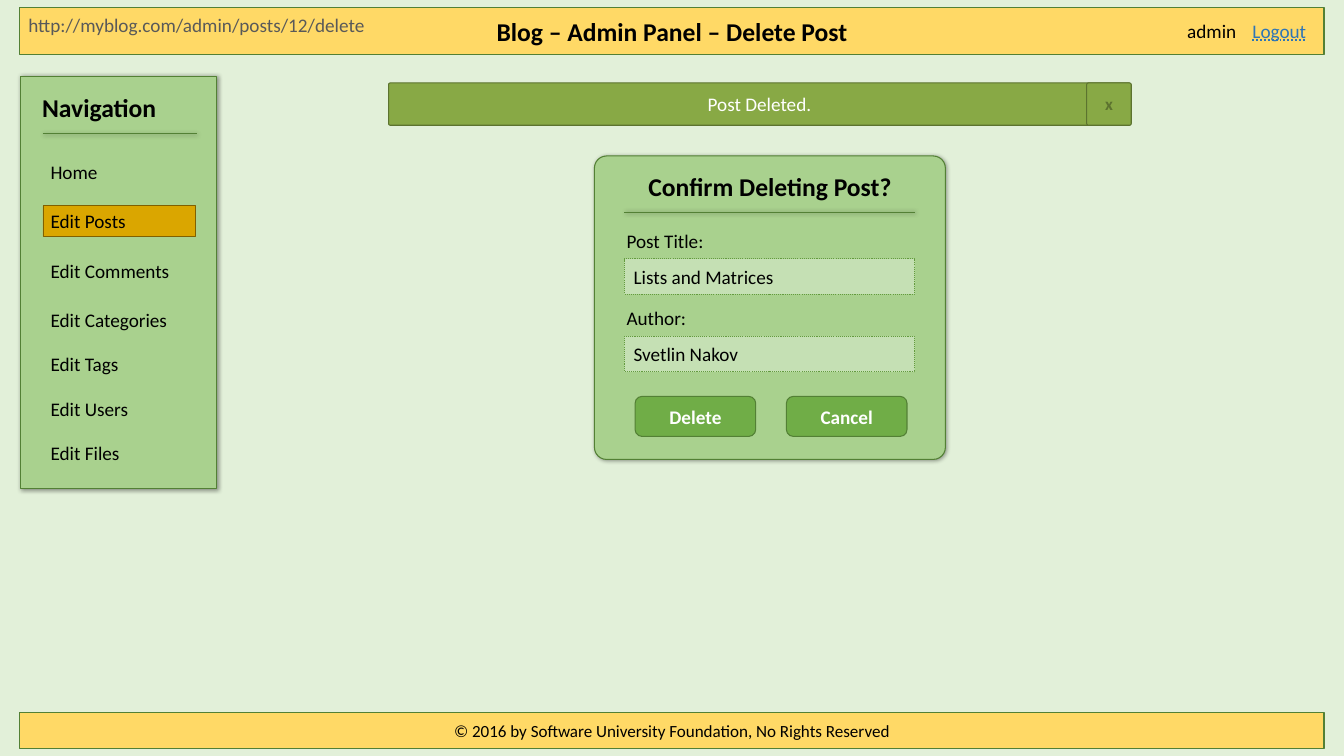
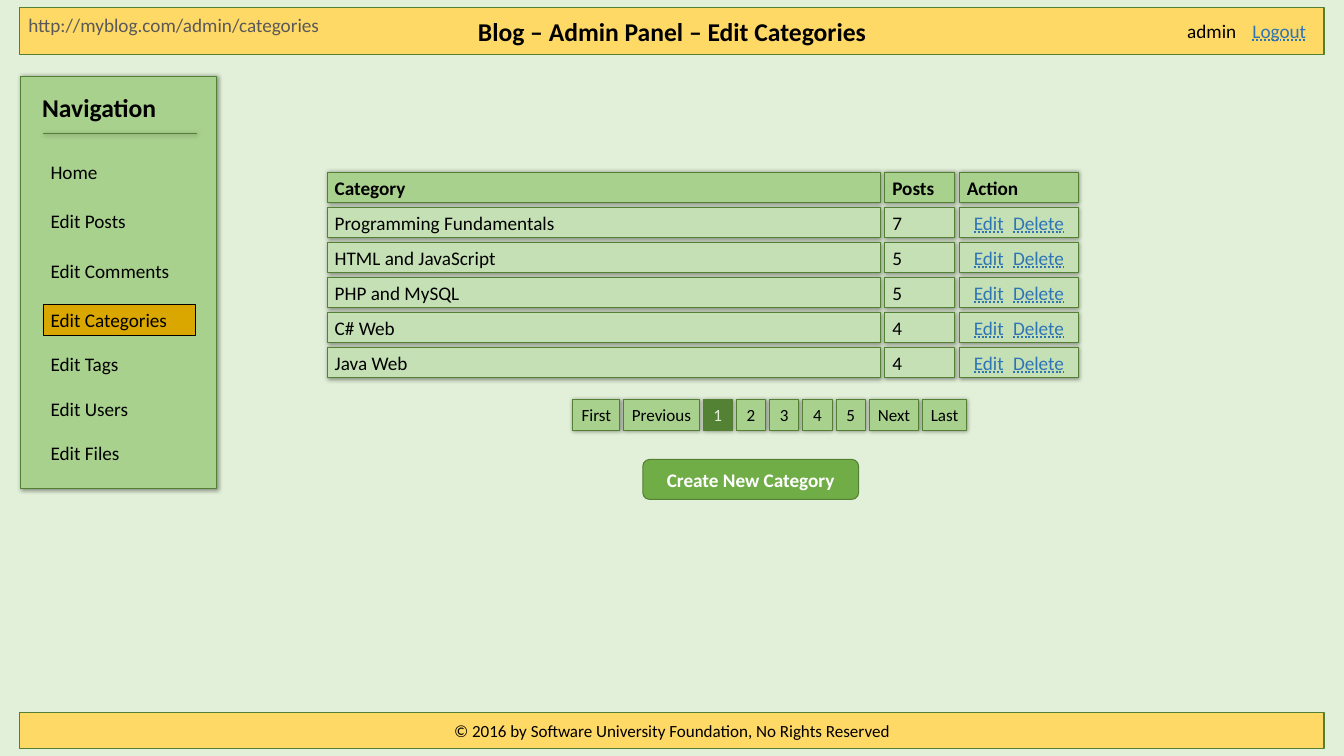
"""Build two admin panel mock-up slides of a blog: delete post and edit categories."""
from dataclasses import dataclass

from lxml import etree
from pptx import Presentation
from pptx.dml.color import RGBColor
from pptx.enum.dml import MSO_LINE
from pptx.enum.shapes import MSO_CONNECTOR, MSO_SHAPE
from pptx.enum.text import MSO_ANCHOR, MSO_AUTO_SIZE, MSO_UNDERLINE, PP_ALIGN
from pptx.oxml import parse_xml
from pptx.oxml.ns import nsdecls, qn
from pptx.util import Inches, Pt

RECT, ROUND = MSO_SHAPE.RECTANGLE, MSO_SHAPE.ROUNDED_RECTANGLE
LEFT, CENTER = PP_ALIGN.LEFT, PP_ALIGN.CENTER
MIDDLE, FIXED = MSO_ANCHOR.MIDDLE, MSO_AUTO_SIZE.NONE
DOTS, DOTTED = MSO_LINE.ROUND_DOT, MSO_UNDERLINE.DOTTED_LINE
STRAIGHT = MSO_CONNECTOR.STRAIGHT

BLACK = RGBColor(0x00, 0x00, 0x00)
WHITE = RGBColor(0xFF, 0xFF, 0xFF)
GRAY = RGBColor(0x59, 0x59, 0x59)
BLUE = RGBColor(0x2E, 0x75, 0xB6)
MIST = RGBColor(0xE2, 0xF0, 0xD9)
PALE = RGBColor(0xC5, 0xE0, 0xB4)
LEAF = RGBColor(0xA9, 0xD1, 0x8E)
GREEN = RGBColor(0x70, 0xAD, 0x47)
MOSS = RGBColor(0x64, 0x9B, 0x3F)
FERN = RGBColor(0x54, 0x82, 0x35)
EDGE = RGBColor(0x53, 0x80, 0x35)
OLIVE = RGBColor(0x88, 0xA9, 0x45)
DARK = RGBColor(0x5C, 0x73, 0x2F)
YELLOW = RGBColor(0xFF, 0xD9, 0x66)
GOLD = RGBColor(0xDA, 0xA6, 0x00)
BROWN = RGBColor(0x80, 0x60, 0x00)

FONT = "Calibri"
CELL = Inches(0.1)
COLS, ROWS = 175, 98.4
MENU = ("Home", "Edit Posts", "Edit Comments", "Edit Categories",
        "Edit Tags", "Edit Users", "Edit Files")
FOOT = "© 2016 by Software University Foundation, No Rights Reserved"


@dataclass(frozen=True)
class Box:
    """A place on the grid of the slide."""
    col: float
    row: float
    wide: float
    high: float

    def lengths(self) -> tuple:
        return tuple(round(n * CELL) for n in (self.col, self.row, self.wide, self.high))


@dataclass(frozen=True)
class Page:
    """What changes in the shared frame."""
    title: str
    link: str
    item: str
    edge: RGBColor


@dataclass(frozen=True)
class Field:
    """A labelled field of the dialog."""
    label: str
    value: str
    row: float


@dataclass(frozen=True)
class Column:
    """A column of the category list."""
    head: str
    col: float
    wide: float
    cells: tuple


def write(shape, text: str, size: float = 18, color: RGBColor = BLACK,
          bold: bool = False, align=LEFT, wrap: bool = True, under: bool = False,
          inset: float = 1, tab: float = 0, trim: bool = False) -> None:
    """Put formatted text into a shape."""
    frame = shape.text_frame
    frame.auto_size, frame.word_wrap = FIXED, wrap
    frame.vertical_anchor = MIDDLE
    frame.margin_left = round(inset * CELL)
    para = frame.paragraphs[0]
    if tab:
        stops = etree.SubElement(para._p.get_or_add_pPr(), qn("a:tabLst"))
        etree.SubElement(stops, qn("a:tab"), pos=str(round(tab * CELL)), algn="l")
    para.alignment = align
    for part in filter(None, text.partition("\t")):
        run = para.add_run()
        run.text = part
        font = run.font
        font.name, font.size, font.bold = FONT, Pt(size), bold
        font.color.rgb = color
        if under and part != "\t":
            font.underline = DOTTED
        if trim:
            run._r.get_or_add_rPr().insert(0, parse_xml(
                f'<a:ln {nsdecls("a")} w="9525"><a:solidFill>'
                f'<a:srgbClr val="{color}"/></a:solidFill></a:ln>'))


def shade(shape, on: bool) -> None:
    """Set a soft shadow or none."""
    drop = ('<a:outerShdw blurRad="50800" dist="12700" dir="2700000">'
            '<a:srgbClr val="000000"><a:alpha val="40000"/></a:srgbClr>'
            '</a:outerShdw>') if on else ""
    shape._element.spPr.append(
        parse_xml(f'<a:effectLst {nsdecls("a")}>{drop}</a:effectLst>'))


def paint(shape, fill: RGBColor, edge: RGBColor, width: float = 1) -> None:
    """Set fill and outline."""
    shape.fill.solid()
    shape.fill.fore_color.rgb = fill
    shape.line.color.rgb = edge
    shape.line.width = Pt(width)


def panel(slide, box: Box, fill: RGBColor, text: str = "", edge: RGBColor = EDGE,
          width: float = 1, curve: float = 0, dash: bool = False,
          shadow: bool = False, **style) -> None:
    """Draw a filled box, rounded if it has a curve."""
    shape = slide.shapes.add_shape(ROUND if curve else RECT, *box.lengths())
    if curve:
        shape.adjustments[0] = curve
    paint(shape, fill, edge, width)
    if dash:
        shape.line.dash_style = DOTS
    shade(shape, shadow)
    if text:
        write(shape, text, **style)


def label(slide, box: Box, text: str, **style) -> None:
    """Draw plain text."""
    write(slide.shapes.add_textbox(*box.lengths()), text, **style)


def rule(slide, col: float, row: float, wide: float) -> None:
    """Draw a level line with a shadow."""
    left, top, span, _ = Box(col, row, wide, 0).lengths()
    line = slide.shapes.add_connector(STRAIGHT, left, top, left + span, top)
    line.line.color.rgb = EDGE
    line.line.width = Pt(1)
    shade(line, True)


def button(slide, box: Box, text: str) -> None:
    """Draw a green button."""
    panel(slide, box, GREEN, text, curve=0.17, color=WHITE, bold=True, align=CENTER)


def start(deck, page: Page):
    """Add a slide with header, menu and footer."""
    slide = deck.slides.add_slide(deck.slide_layouts[5])
    title = slide.shapes.title
    title.left, title.top, title.width, title.height = Box(2.6, 1, 169.8, 6.1).lengths()
    paint(title, YELLOW, EDGE)
    write(title, page.title, size=24, bold=True, align=CENTER)
    label(slide, Box(2.7, 1.2, 46.4, 4), page.link, color=GRAY, wrap=False)
    label(slide, Box(153.6, 2, 8.5, 4), "admin", wrap=False)
    label(slide, Box(162.1, 2, 9.1, 4), "Logout", color=BLUE, under=True, wrap=False)
    panel(slide, Box(2.6, 92.8, 169.8, 4.6), YELLOW, FOOT, size=16, align=CENTER)

    panel(slide, Box(2.7, 9.9, 25.5, 53.7), LEAF, shadow=True)
    label(slide, Box(4.5, 11.5, 22, 5), "Navigation", size=24, bold=True)
    rule(slide, 5.6, 17.4, 20)
    for i, item in enumerate(MENU):
        box = Box(5.6, 20.4 + 6.4 * min(i, 3) + 5.8 * max(i - 3, 0), 19.8, 4)
        if item == page.item:
            panel(slide, box, GOLD, item, edge=page.edge, width=0.75)
        else:
            label(slide, box, item)
    return slide


def erase(deck) -> None:
    """Add the slide that deletes a post."""
    slide = start(deck, Page("Blog – Admin Panel – Delete Post",
                             "http://myblog.com/admin/posts/12/delete",
                             "Edit Posts", BROWN))
    panel(slide, Box(50.6, 10.8, 96.6, 5.5), OLIVE, "Post Deleted.", edge=DARK,
          curve=0.04, color=WHITE, align=CENTER)
    panel(slide, Box(141.5, 10.8, 5.8, 5.5), OLIVE, "x", edge=DARK, curve=0.04,
          size=16, color=DARK, bold=True, align=CENTER, trim=True)

    panel(slide, Box(77.4, 20.3, 45.7, 39.5), LEAF, curve=0.04, shadow=True)
    label(slide, Box(79.8, 21.8, 40.9, 5), "Confirm Deleting Post?",
          size=24, bold=True, align=CENTER)
    rule(slide, 81.3, 27.6, 37.8)
    for field in (Field("Post Title:", "Lists and Matrices", 29.3),
                  Field("Author:", "Svetlin Nakov", 39.4)):
        label(slide, Box(80.6, field.row, 38.6, 4), field.label)
        panel(slide, Box(81.3, field.row + 4.4, 37.8, 4.6), PALE, field.value,
              edge=MOSS, dash=True, inset=1.2)
    for i, text in enumerate(("Delete", "Cancel")):
        button(slide, Box(82.7 + 19.7 * i, 51.6, 15.7, 5.2), text)


def sort(deck) -> None:
    """Add the slide that edits categories."""
    slide = start(deck, Page("Blog – Admin Panel – Edit Categories",
                             "http://myblog.com/admin/categories",
                             "Edit Categories", BLACK))
    names = ("Programming Fundamentals", "HTML and JavaScript",
             "PHP and MySQL", "C# Web", "Java Web")
    links = ("Edit\tDelete",) * len(names)
    top, step = 22.4, 4.56
    for part in (Column("Category", 42.6, 72, names),
                 Column("Posts", 115.2, 9.1, ("7", "5", "5", "4", "4")),
                 Column("Action", 124.9, 15.5, links)):
        style = (dict(color=BLUE, under=True, inset=1.9, tab=5.1)
                 if part.cells is links else {})
        panel(slide, Box(part.col, top, part.wide, 4), LEAF, part.head,
              shadow=True, bold=True)
        for i, text in enumerate(part.cells, 1):
            panel(slide, Box(part.col, top + step * i, part.wide, 4), PALE, text,
                  shadow=True, **style)

    col, gap = 74.6, 0.53
    for text, wide in (("First", 6.1), ("Previous", 9.8),
                       *((n, 3.8) for n in "12345"), ("Next", 6.4), ("Last", 5.7)):
        here = text == "1"
        panel(slide, Box(col, 52, wide, 4), FERN if here else LEAF, text, shadow=True,
              size=16, color=MIST if here else BLACK, align=CENTER, wrap=False)
        col += wide + gap
    button(slide, Box(83.7, 59.8, 28.1, 5.2), "Create New Category")


def main() -> None:
    """Build and save the deck."""
    deck = Presentation()
    deck.slide_width, deck.slide_height = round(COLS * CELL), round(ROWS * CELL)
    back = deck.slide_master.background.fill
    back.solid()
    back.fore_color.rgb = MIST
    erase(deck)
    sort(deck)
    deck.save("out.pptx")


if __name__ == "__main__":
    main()
